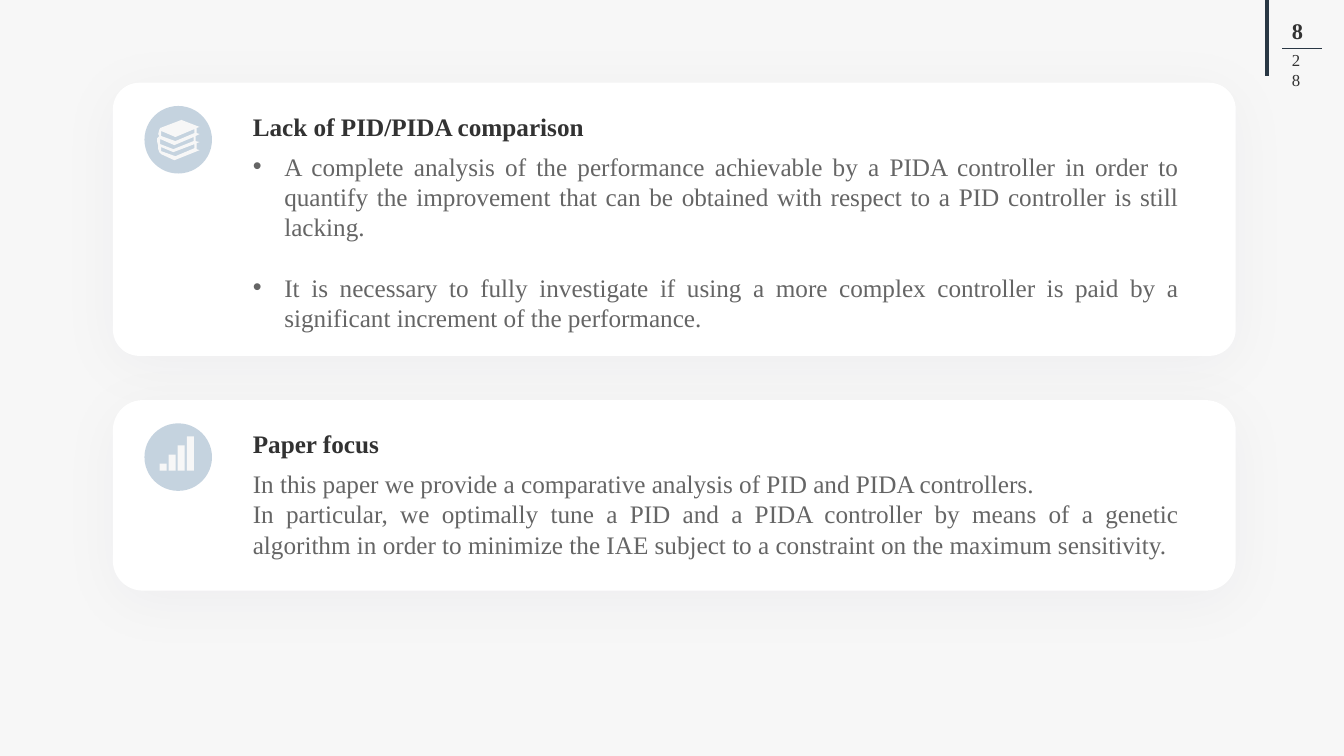
from lxml import etree
from pptx import Presentation
from pptx.dml.color import RGBColor
from pptx.enum.shapes import MSO_CONNECTOR as CONN, MSO_SHAPE as SHAPE
from pptx.enum.text import MSO_AUTO_SIZE as AUTO, PP_ALIGN as ALIGN
from pptx.oxml.ns import qn
from pptx.util import Pt

PALE, WHITE, DARK, GREY = "F7F7F7", "FFFFFF", "323232", "656565"
NAVY, BLUE, SHADOW = "293744", "8DA8C1", "221B43"


def rgb(hex_colour):
    return RGBColor.from_string(hex_colour)


def add_xml(parent, tag, **attrs):
    return etree.SubElement(parent, qn(tag), attrs)


class Deck:
    """Holds the style and the current slide; lengths are in points."""
    font = "Times New Roman"

    def __init__(self, width, height):
        self.prs = Presentation()
        self.prs.slide_width, self.prs.slide_height = Pt(width), Pt(height)
        self.s = self.prs.slides.add_slide(self.prs.slide_layouts[6])
        self.s.background.fill.solid()
        self.s.background.fill.fore_color.rgb = rgb(PALE)
        self.shapes = self.s.shapes

    def group(self):
        self.shapes = self.s.shapes.add_group_shape().shapes

    def paint(self, sp, colour, alpha=None):
        sp.shadow.inherit = False
        sp.fill.solid()
        sp.fill.fore_color.rgb = rgb(colour)
        sp.line.fill.background()
        if alpha:
            clr = sp._element.spPr.find(".//" + qn("a:srgbClr"))
            add_xml(clr, "a:alpha", val=str(alpha * 1000))
        return sp

    def shape(self, kind, x, y, w, h, colour, alpha=None):
        sp = self.shapes.add_shape(kind, Pt(x), Pt(y), Pt(w), Pt(h))
        return self.paint(sp, colour, alpha)

    def panel(self, x, y, w, h, radius):
        sp = self.shape(SHAPE.ROUNDED_RECTANGLE, x, y, w, h, WHITE)
        sp.adjustments[0] = radius
        effects = sp._element.spPr.find(qn("a:effectLst"))
        shadow = add_xml(effects, "a:outerShdw", blurRad=str(Pt(42)), dist=str(Pt(7)),
                         dir="5400000", algn="t", rotWithShape="0")
        add_xml(add_xml(shadow, "a:srgbClr", val=SHADOW), "a:alpha", val="4000")

    def outline(self, x, y, contours, colour):
        """Contours are in hundredths of an inch from (x, y)."""
        first, *holes = contours
        fb = self.shapes.build_freeform(*first[0], scale=Pt(0.72))
        fb.add_line_segments(first[1:])
        for hole in holes:
            fb.move_to(*hole[0])
            fb.add_line_segments(hole[1:])
        return self.paint(fb.convert_to_shape(Pt(x), Pt(y)), colour)

    def line(self, x1, y1, x2, y2, width):
        cn = self.shapes.add_connector(CONN.STRAIGHT, Pt(x1), Pt(y1), Pt(x2), Pt(y2))
        cn.line.color.rgb, cn.line.width = rgb(NAVY), Pt(width)
        add_xml(cn._element.spPr, "a:effectLst")

    def text(self, x, y, w, h, lines, size=18, colour=DARK, bold=False,
             align=ALIGN.JUSTIFY, bullet=False, gap=0, inset=3.6):
        tf = self.shapes.add_textbox(Pt(x), Pt(y), Pt(w), Pt(h)).text_frame
        frame = {"word_wrap": True, "auto_size": AUTO.SHAPE_TO_FIT_TEXT,
                 "margin_top": Pt(inset), "margin_bottom": Pt(inset)}
        for name, value in frame.items():
            setattr(tf, name, value)
        for i, line in enumerate(lines):
            p = tf.add_paragraph() if i else tf.paragraphs[0]
            if bullet:
                pPr = p._p.get_or_add_pPr()
                pPr.set("marL", str(Pt(22.5)))
                pPr.set("indent", str(-Pt(22.5)))
                add_xml(pPr, "a:buFont", typeface="Arial")
                add_xml(pPr, "a:buChar", char="•")
            p.alignment = align
            if i and gap:
                p.space_before = Pt(gap)
            r = p.add_run()
            r.text = line
            for name, value in {"name": self.font, "size": Pt(size), "bold": bold}.items():
                setattr(r.font, name, value)
            r.font.color.rgb = rgb(colour)

    def card(self, y, h, radius, title, lines, body_h, **body):
        self.group()
        self.panel(80.65, y, 802, h, radius)
        self.text(173.5, y + 16.6, 685.4, 28.8, [title], bold=True)
        self.text(173.5, y + 45.2, 676, body_h, lines, colour=GREY, **body)
        self.shape(SHAPE.OVAL, 103.2, y + 16.6, 48.25, 48.25, BLUE, alpha=50)


# Stack of books: outer edge, then the gaps between the pages
BOOKS = [
    [(42, 14), (39, 13), (39, 8), (42, 7), (24, 0), (3, 8), (1.5, 10), (1, 14),
     (2, 16), (0.5, 18), (0, 22), (1, 26), (1, 29), (2, 32), (4, 34), (17, 40),
     (42, 30), (39, 29), (39, 23), (42, 22), (38, 21), (38, 16), (42, 14)],
    [(4, 11), (18, 17), (37, 9), (37, 13), (18, 21), (4, 16), (4, 11)],
    [(37, 28), (18, 36), (4, 31), (4, 27), (16, 32), (37, 24), (37, 28)],
    [(36, 21), (16, 29), (3, 24), (3, 19), (17, 25), (36, 17), (36, 21)],
]


def main():
    deck = Deck(960, 540)

    # Page counter
    deck.text(898, 12.25, 57.6, 19.4, ["8"], size=16, bold=True,
              align=ALIGN.CENTER, inset=0)
    deck.line(905, 0, 905, 54, 2.25)
    deck.line(915.8, 34.5, 944, 34.5, 0.5)
    deck.text(915.8, 31.7, 25.9, 21.6, ["28"], size=12, align=ALIGN.LEFT)

    # Card on the missing comparison
    deck.card(59.1, 195.1, 0.097, "Lack of PID/PIDA comparison", [
        "A complete analysis of the performance achievable by a PIDA controller in order "
        "to quantify the improvement that can be obtained with respect to a PID "
        "controller is still lacking.",
        "It is necessary to fully investigate if using a more complex controller is paid "
        "by a significant increment of the performance.",
    ], 159.8, bullet=True, gap=21.7)
    deck.outline(112.3, 85.7, BOOKS, PALE)

    # Card on the focus of the paper
    deck.card(285.8, 136.1, 0.157, "Paper focus", [
        "In this paper we provide a comparative analysis of PID and PIDA controllers.",
        "In particular, we optimally tune a PID and a PIDA controller by means of a "
        "genetic algorithm in order to minimize the IAE subject to a constraint on the "
        "maximum sensitivity.",
    ], 72.7)
    for i in range(4):
        bar_h = 5 + 6.5 * i
        deck.shape(SHAPE.RECTANGLE, 114 + 6.5 * i, 336.2 - bar_h, 5, bar_h, PALE)

    deck.prs.save("out.pptx")


if __name__ == "__main__":
    main()
